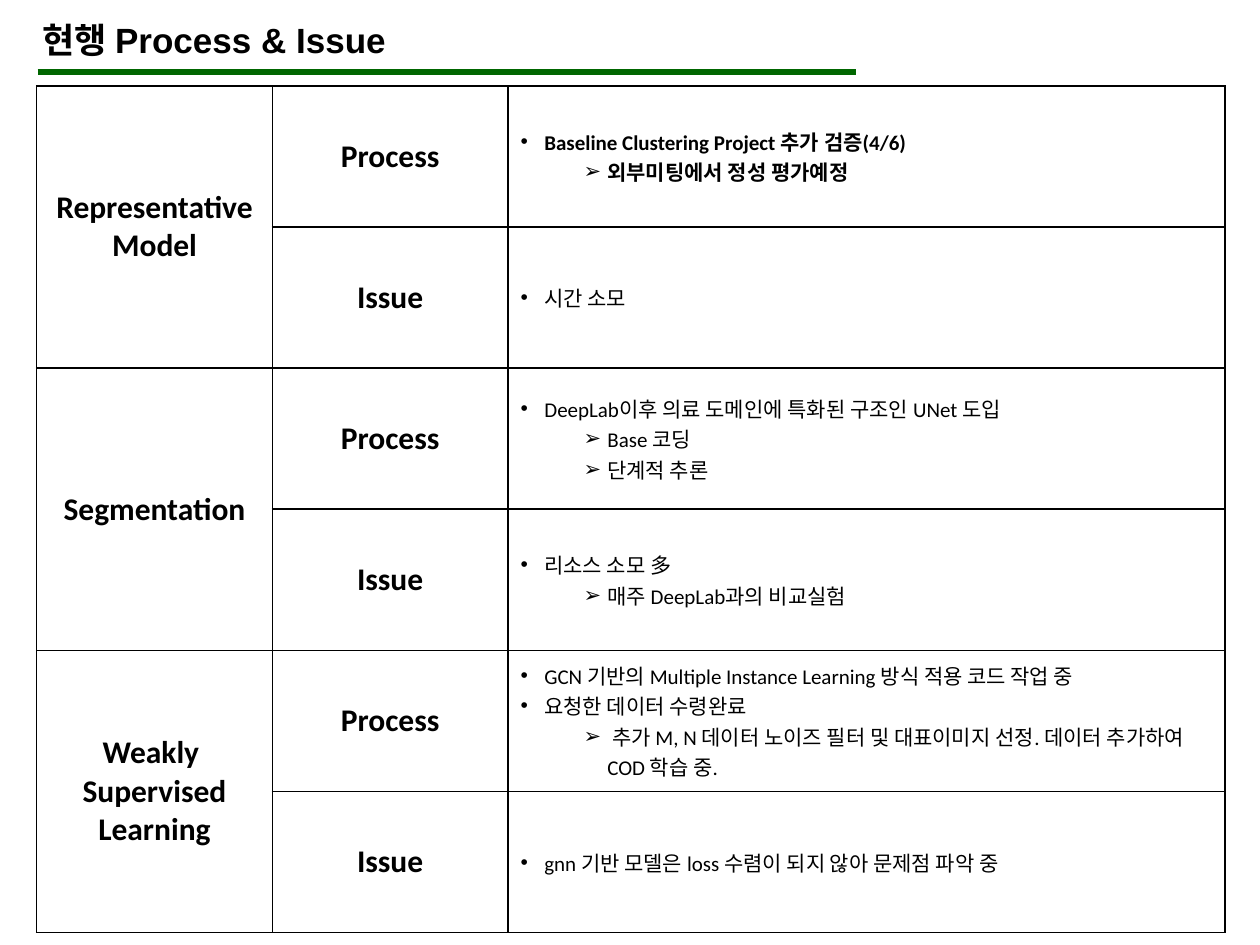
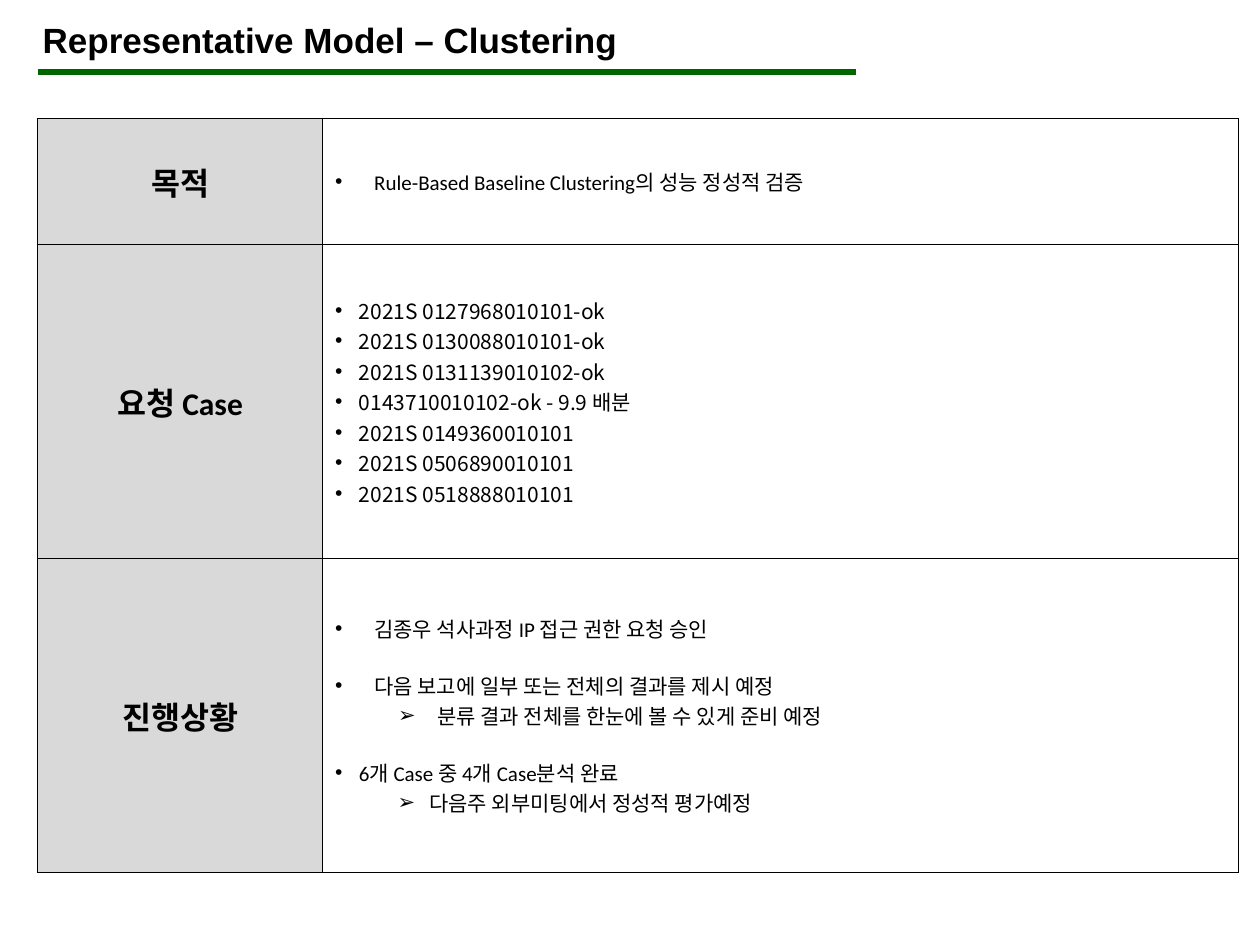
from lxml import etree
from pptx import Presentation
from pptx.dml.color import RGBColor
from pptx.enum.shapes import MSO_CONNECTOR
from pptx.enum.text import MSO_ANCHOR, PP_ALIGN
from pptx.oxml.ns import qn
from pptx.util import Cm, Pt

LINE = MSO_CONNECTOR.STRAIGHT
MIDDLE = MSO_ANCHOR.MIDDLE
LEFT, CENTER, JUSTIFY = PP_ALIGN.LEFT, PP_ALIGN.CENTER, PP_ALIGN.JUSTIFY

BLACK = RGBColor(0x00, 0x00, 0x00)
GREEN = RGBColor(0x00, 0x66, 0x00)
GRAY = RGBColor(0xD9, 0xD9, 0xD9)

LATIN, KOREAN = "Calibri", "Noto Sans CJK KR"
TITLE = dict(name="Arial", size=Pt(20), bold=True)
HEAD = dict(name=LATIN, size=Pt(18), bold=True)
BODY = dict(name=LATIN, size=Pt(12), bold=False)
STRONG = {**BODY, "bold": True}
CASE = {**BODY, "name": KOREAN}

BULLETS = {
    "dot": ("•", 0, 0.48, 0.48),
    "sub": ("➢", 1, 1.75, 0.48),
    "wide": ("•", 0, 0.79, 0.79),
    "widesub": ("➢", 1, 2.06, 0.79),
    "midsub": ("➢", 1, 1.9, 0.64),
}
GAP = Pt(15)

TOPICS = [
    (["Representative", "Model"],
     [("dot", "Baseline Clustering Project 추가 검증(4/6)"),
      ("sub", "외부미팅에서 정성 평가예정")],
     [("dot", "시간 소모")]),
    (["Segmentation"],
     [("dot", "DeepLab이후 의료 도메인에 특화된 구조인 UNet 도입"),
      ("sub", "Base 코딩"),
      ("sub", "단계적 추론")],
     [("dot", "리소스 소모 多"),
      ("sub", "매주 DeepLab과의 비교실험")]),
    (["Weakly ", "Supervised", "Learning"],
     [("dot", "GCN 기반의 Multiple Instance Learning 방식 적용 코드 작업 중"),
      ("dot", "요청한 데이터 수령완료"),
      ("sub", " 추가 M, N 데이터 노이즈 필터 및 대표이미지 선정. 데이터 추가하여 COD 학습 중.")],
     [("dot", "gnn 기반 모델은 loss 수렴이 되지 않아 문제점 파악 중")]),
]
STAGES = ["Process", "Issue"]

CASES = [
    "2021S 0127968010101-ok",
    "2021S 0130088010101-ok",
    "2021S 0131139010102-ok",
    "0143710010102-ok - 9.9 배분",
    "2021S 0149360010101",
    "2021S 0506890010101",
    "2021S 0518888010101",
]
STATUS = [
    ("목적", JUSTIFY, BODY,
     [("wide", "Rule-Based Baseline Clustering의 성능 정성적 검증 ")]),
    ("요청 Case", LEFT, CASE, [("dot", case) for case in CASES]),
    ("진행상황", JUSTIFY, BODY,
     [("wide", "김종우 석사과정 IP 접근 권한 요청 승인"),
      ("wide", "다음 보고에 일부 또는 전체의 결과를 제시 예정", GAP),
      ("widesub", "분류 결과 전체를 한눈에 볼 수 있게 준비 예정"),
      ("dot", "6개 Case 중 4개 Case분석 완료", GAP),
      ("midsub", "다음주 외부미팅에서 정성적 평가예정")]),
]


def write(par, text, style, align=LEFT):
    par.alignment = align
    run = par.add_run()
    run.text = text
    for key, value in style.items():
        setattr(run.font, key, value)
    run.font.color.rgb = BLACK
    east = etree.SubElement(run.font._element, qn("a:ea"))
    east.set("typeface", KOREAN)


def pars(frame, count):
    return [frame.paragraphs[0]] + [frame.add_paragraph() for _ in range(count - 1)]


def head(cell, lines):
    for par, text in zip(pars(cell.text_frame, len(lines)), lines):
        write(par, text, HEAD, CENTER)


def listing(cell, items, style=BODY, align=LEFT):
    for par, (kind, text, *gap) in zip(pars(cell.text_frame, len(items)), items):
        char, level, indent, hang = BULLETS[kind]
        par.level = level
        props = par._p.get_or_add_pPr()
        props.set("marL", str(Cm(indent)))
        props.set("indent", str(-Cm(hang)))
        font = etree.SubElement(props, qn("a:buFont"))
        font.set("typeface", "Arial")
        etree.SubElement(props, qn("a:buChar")).set("char", char)
        if gap:
            par.space_before = gap[0]
        write(par, text, style, align)


def border(cell):
    props = cell._tc.get_or_add_tcPr()
    for side in ("lnL", "lnR", "lnT", "lnB"):
        edge = etree.SubElement(props, qn("a:" + side), w=str(Pt(1)))
        fill = etree.SubElement(edge, qn("a:solidFill"))
        etree.SubElement(fill, qn("a:srgbClr"), val=str(BLACK))


def grid(slide, left, top, widths, heights):
    frame = slide.shapes.add_table(len(heights), len(widths), left, top,
                                   sum(widths), sum(heights))
    table = frame.table
    table.first_row = table.horz_banding = False
    for col, width in zip(table.columns, widths):
        col.width = width
    for row, height in zip(table.rows, heights):
        row.height = height
    for cell in table.iter_cells():
        cell.vertical_anchor = MIDDLE
        border(cell)
        cell.fill.background()
    return table


def page(deck, title):
    slide = deck.slides.add_slide(deck.slide_layouts[6])
    rule = slide.shapes.add_connector(LINE, Cm(0.76), Cm(1.45), Cm(17.25), Cm(1.45))
    rule.line.color.rgb = GREEN
    rule.line.width = Pt(3)
    etree.SubElement(rule._element.spPr, qn("a:effectLst"))
    box = slide.shapes.add_textbox(Cm(0.61), Cm(0.25), Cm(20.45), Cm(1.11))
    box.text_frame.word_wrap = True
    write(box.text_frame.paragraphs[0], title, TITLE)
    return slide


def issues(deck):
    slide = page(deck, "현행 Process & Issue")
    step = len(STAGES)
    count = len(TOPICS) * step
    table = grid(slide, Cm(0.74), Cm(1.73), [Cm(4.75), Cm(4.75), Cm(14.45)],
                 [Cm(17.07) // count] * count)
    for spot, (name, *notes) in enumerate(TOPICS):
        top = spot * step
        table.cell(top, 0).merge(table.cell(top + step - 1, 0))
        head(table.cell(top, 0), name)
        for row, (stage, items) in enumerate(zip(STAGES, notes), top):
            head(table.cell(row, 1), [stage])
            listing(table.cell(row, 2), items, BODY if row else STRONG)


def cluster(deck):
    slide = page(deck, "Representative Model – Clustering")
    table = grid(slide, Cm(0.76), Cm(2.39), [Cm(5.74), Cm(18.47)],
                 [Cm(2.54), Cm(6.33), Cm(6.33)])
    for row, (name, align, style, items) in enumerate(STATUS):
        label = table.cell(row, 0)
        label.fill.solid()
        label.fill.fore_color.rgb = GRAY
        head(label, [name])
        listing(table.cell(row, 1), items, style, align)


def main():
    deck = Presentation()
    deck.slide_width, deck.slide_height = Cm(25.4), Cm(19.05)
    issues(deck)
    cluster(deck)
    deck.save("out.pptx")


if __name__ == "__main__":
    main()
